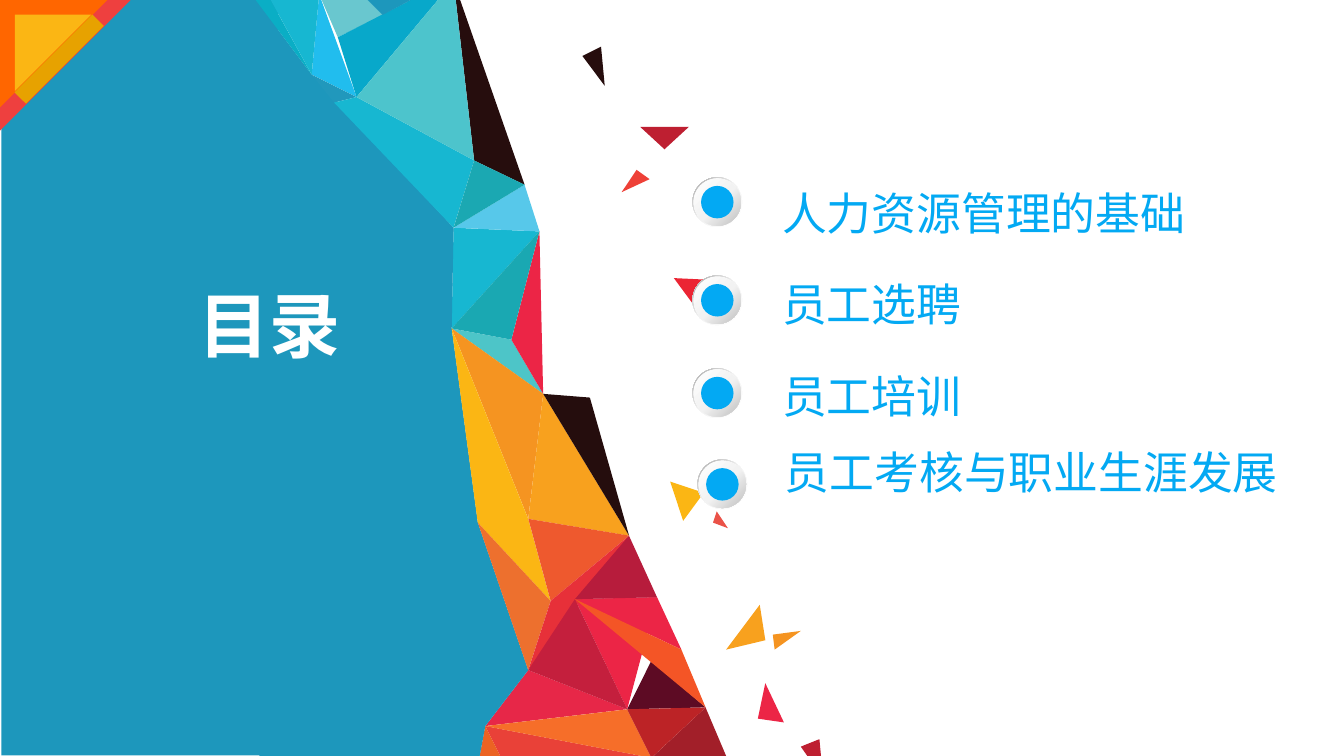
"""Build the contents slide of a human resources deck with a faceted colour edge."""
from copy import deepcopy
from typing import NamedTuple

from lxml.etree import SubElement
from pptx import Presentation
from pptx.dml.color import RGBColor
from pptx.enum.shapes import MSO_SHAPE as Preset
from pptx.enum.text import MSO_ANCHOR as Anchor, MSO_AUTO_SIZE as AutoSize, PP_ALIGN as Align
from pptx.oxml.ns import qn
from pptx.util import Pt

BLUE = "1D97BC"
SKY = "03A9F3"


class Point(NamedTuple):
    x: float
    y: float


class Facet(NamedTuple):
    colour: str
    corners: str


class Shard(NamedTuple):
    colour: str
    points: tuple[tuple[float, float], ...]


class CornerFold(NamedTuple):
    colour: str
    inset: float
    size: float


class Topic(NamedTuple):
    text: str
    marker: Point
    space_before: float = 0
    indent: float = 0


MESH = {
    "a": Point(243, -10), "b": Point(254, 86), "c": Point(281, 99), "d": Point(289, 124),
    "e": Point(243, 122), "f": Point(242, 176), "g": Point(274, 182), "h": Point(291, 211),
    "i": Point(283, 278), "j": Point(256, 280), "k": Point(295, 322), "l": Point(337, 287),
    "m": Point(283, 359), "n": Point(308, 321), "o": Point(352, 320), "p": Point(336, 380),
    "q": Point(378, 379), "r": Point(365, 348), "s": Point(260, 389), "t": Point(257, 405),
    "u": Point(349, 406), "v": Point(389, 405), "w": Point(349, 354), "x": Point(191, 52),
    "y": Point(167, 40), "z": Point(181, 20), "A": Point(205, 8), "B": Point(179, 55),
    "C": Point(222, -1), "D": Point(171, -3), "E": Point(145, 0), "F": Point(137, 0),
    "G": Point(192, -5), "J": Point(316, 213), "K": Point(268, 405), "L": Point(139, 405),
}

FACETS = (
    Facet("EC2546", "npo"), Facet("5D0B24", "pqw"), Facet("260D0D", "acb"),
    Facet("A21F29", "qvu"), Facet("EC2546", "nro"), Facet("E94138", "sKu"),
    Facet("E72748", "msp"), Facet("4DC5C8", "fgh"), Facet("17B7D1", "edf"),
    Facet("57C8EA", "ecd"), Facet("EB6323", "stK"), Facet("21BDEE", "Dxy"),
    Facet(BLUE, "FyefjmstL"), Facet("0AAEC5", "FEy"), Facet("17B7D1", "EDy"),
    Facet("2198BC", "yxB"), Facet("17B7D1", "xbeB"), Facet("1BA8B2", "bce"),
    Facet("69C7CF", "DGAz"), Facet("08A8CA", "zxaC"), Facet("EC2546", "dgh"),
    Facet("4DC4CC", "abx"), Facet("1AA8B2", "dgf"), Facet("F59421", "fhi"),
    Facet("FBB614", "fjki"), Facet("F8A11E", "hil"), Facet("250D0D", "hJl"),
    Facet("EE592E", "ikl"), Facet("ED702E", "jkm"), Facet("E73039", "klm"),
    Facet("B71C3C", "nol"), Facet("C41F3D", "npm"), Facet("F45526", "nqr"),
    Facet("F66E29", "spu"), Facet("BC2326", "pqu"), Facet(BLUE, "GAC"),
)

SHARDS = (
    Shard("EE4037", ((341, 91), (333, 103), (348, 96))),
    Shard("EB2534", ((361, 149), (382, 150), (378, 172))),
    Shard("BE1F31", ((343, 68), (369, 68), (356, 80))),
    Shard("FBB614", ((359, 258), (377, 264), (366, 279))),
    Shard("F8A11E", ((407, 324), (389, 348), (410, 343))),
    Shard("EC2546", ((410, 366), (406, 385), (420, 387))),
    Shard("F59421", ((414, 340), (429, 338), (415, 348))),
    Shard("EA5248", ((384, 274), (390, 283), (382, 280))),
    Shard("260D0D", ((322, 25), (312, 30), (324, 46))),
    Shard("BE1F31", ((439, 396), (429, 400), (441, 417))),
)

FOLDS = (
    CornerFold("EE403F", 0, 70),
    CornerFold("FF6600", 0, 57.6),
    CornerFold("FBB614", 7.9, 41),
)

TOPICS = (
    Topic("人力资源管理的基础", Point(371, 95)),
    Topic("员工选聘", Point(371, 147.6), space_before=19.2),
    Topic("员工培训", Point(371, 197.3), space_before=19.2),
    Topic("员工考核与职业生涯发展", Point(373.7, 246.2), space_before=10.8, indent=1.5),
)


def colour_of(code: str) -> RGBColor:
    return RGBColor.from_string(code)


def paint(shape, colour: str) -> None:
    shape.shadow.inherit = False
    shape.line.fill.background()
    shape.fill.solid()
    shape.fill.fore_color.rgb = colour_of(colour)


def paint_gradient(shape, end_colour: str, angle: float) -> None:
    shape.shadow.inherit = False
    shape.line.fill.background()
    shape.fill.gradient()
    shape.fill.gradient_angle = angle
    stop_list = shape.element.spPr.find(qn("a:gradFill")).find(qn("a:gsLst"))
    stop_list.append(deepcopy(stop_list[-1]))
    stops = zip((0, 0.53, 1), ("FFFFFF", "F2F2F2", end_colour))
    for stop, (position, colour) in zip(shape.fill.gradient_stops, stops):
        stop.position = position
        stop.color.rgb = colour_of(colour)


def add_preset(shapes, preset: Preset, box: tuple[float, ...]):
    return shapes.add_shape(preset, *map(Pt, box))


def draw_block(slide, preset: Preset, box: tuple[float, ...], colour: str, rotation: float = 0) -> None:
    shape = add_preset(slide.shapes, preset, box)
    shape.rotation = rotation
    paint(shape, colour)


def draw_polygon(slide, points, colour: str) -> None:
    start, *others = [(Pt(x), Pt(y)) for x, y in points]
    builder = slide.shapes.build_freeform(*start)
    builder.add_line_segments(others, close=True)
    paint(builder.convert_to_shape(), colour)


def draw_marker(slide, corner: Point, size: float = 26.6) -> None:
    shapes = slide.shapes.add_group_shape().shapes

    def add_round(preset: Preset, inset: float):
        side = size - 2 * inset
        return add_preset(shapes, preset, (corner.x + inset, corner.y + inset, side, side))

    ring = add_round(Preset.DONUT, 0)
    ring.adjustments[0] = 0.05
    paint_gradient(ring, "A6A6A6", 135)
    paint_gradient(add_round(Preset.OVAL, 0.6), "BFBFBF", 315)
    paint(add_round(Preset.OVAL, 4.6), SKY)


def write_text(paragraph, text: str, *, size: float, colour: str, bold: bool = False,
               align: Align = Align.LEFT) -> None:
    paragraph.alignment = align
    run = paragraph.add_run()
    run.text = text
    run.font.name = "Arial"
    run.font.size = Pt(size)
    run.font.bold = bold
    run.font.color.rgb = colour_of(colour)


def place_on_top(placeholder, box: tuple[float, ...], anchor: Anchor, wrap: bool):
    placeholder.left, placeholder.top, placeholder.width, placeholder.height = map(Pt, box)
    placeholder.element.getparent().append(placeholder.element)
    frame = placeholder.text_frame
    frame.auto_size = AutoSize.NONE
    frame.vertical_anchor = anchor
    frame.word_wrap = wrap
    return frame


def fill_topics(frame) -> None:
    for index, topic in enumerate(TOPICS):
        paragraph = frame.add_paragraph() if index else frame.paragraphs[0]
        write_text(paragraph, topic.text, size=24, colour=SKY)
        paragraph.line_spacing = Pt(30)
        paragraph.space_before = Pt(topic.space_before)
        properties = paragraph._p.get_or_add_pPr()
        properties.set("marL", str(Pt(topic.indent)))
        properties.set("indent", "0")
        SubElement(properties, qn("a:buNone"))


def main() -> None:
    presentation = Presentation()
    presentation.slide_width, presentation.slide_height = Pt(720), Pt(405)
    slide = presentation.slides.add_slide(presentation.slide_layouts[1])
    draw_block(slide, Preset.RECTANGLE, (0.7, -0.7, 148.3, 405.4), BLUE)
    for facet in FACETS:
        draw_polygon(slide, [MESH[name] for name in facet.corners], facet.colour)
    for shard in SHARDS:
        draw_polygon(slide, shard.points, shard.colour)
    for fold in FOLDS:
        box = (fold.inset, fold.inset, fold.size, fold.size)
        draw_block(slide, Preset.RIGHT_TRIANGLE, box, fold.colour, rotation=90)
    draw_block(slide, Preset.RECTANGLE, (27.4, 2.2, 8.6, 59), "E7A200", rotation=45)
    for topic in TOPICS:
        draw_marker(slide, topic.marker)
    title = place_on_top(slide.shapes.title, (98.6, 146.9, 91.4, 53.3), Anchor.MIDDLE, False)
    write_text(title.paragraphs[0], "目录", size=38, colour="FFFFFF", bold=True, align=Align.CENTER)
    fill_topics(place_on_top(slide.placeholders[1], (411.8, 94.5, 291.6, 176), Anchor.TOP, True))
    presentation.save("out.pptx")


if __name__ == "__main__":
    main()
